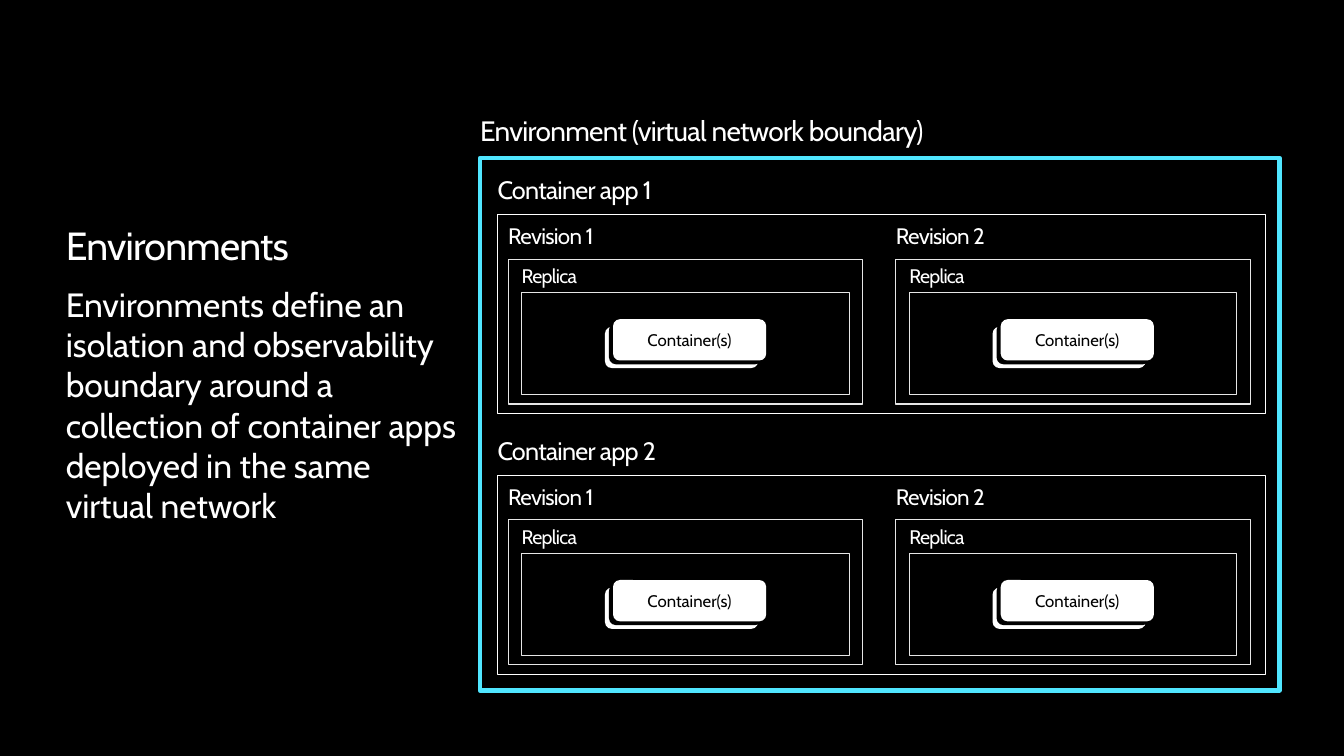
from pptx import Presentation
from pptx.dml.color import RGBColor
from pptx.enum.shapes import MSO_SHAPE
from pptx.enum.text import MSO_ANCHOR, MSO_AUTO_SIZE, PP_ALIGN
from pptx.util import Pt

RECT = MSO_SHAPE.RECTANGLE
ROUND = MSO_SHAPE.ROUNDED_RECTANGLE
MIDDLE = MSO_ANCHOR.MIDDLE
GROW = MSO_AUTO_SIZE.SHAPE_TO_FIT_TEXT
CENTER = PP_ALIGN.CENTER

FONT = "Cabin"
COLORS = {
    "black": "000000",
    "white": "FFFFFF",
    "gray": "E6E6E6",
    "cyan": "50E6FF",
}
APP_STEP = 186.3
REV_STEP = 276.9
BODY = (
    "Environments define an isolation and observability boundary around "
    "a collection of container apps deployed in the same virtual network"
)


def color(name):
    return RGBColor.from_string(COLORS[name])


def add_run(para, text, size, ink, tight=False):
    run = para.add_run()
    run.text = text
    run.font.name = FONT
    run.font.size = Pt(size)
    run.font.color.rgb = color(ink)
    if tight:
        run._r.get_or_add_rPr().set("spc", "-50")


def add_text(slide, text, x, y, w, h, size, tight=True):
    box = slide.shapes.add_textbox(Pt(x), Pt(y), Pt(w), Pt(h))
    frame = box.text_frame
    frame.word_wrap = True
    frame.auto_size = GROW
    frame.margin_left = frame.margin_right = 0
    frame.margin_top = frame.margin_bottom = 0
    para = frame.paragraphs[0]
    add_run(para, text, size, "white", tight)
    return para


def add_frame(slide, x, y, w, h, ink, weight=0.75):
    box = slide.shapes.add_shape(RECT, Pt(x), Pt(y), Pt(w), Pt(h))
    box.shadow.inherit = False
    box.fill.background()
    box.line.color.rgb = color(ink)
    box.line.width = Pt(weight)


def add_card(slide, x, y, fill):
    card = slide.shapes.add_shape(ROUND, Pt(x), Pt(y), Pt(109.4), Pt(29.5))
    card.shadow.inherit = False
    card.fill.solid()
    card.fill.fore_color.rgb = color(fill)
    card.line.fill.background()
    return card


def add_stack(slide, x, y):
    # Three offset cards, the front one labelled
    for i, fill in enumerate(("white", "black", "white")):
        card = add_card(slide, x + 2.9 * i, y - 2.7 * i, fill)
    frame = card.text_frame
    frame.word_wrap = True
    frame.vertical_anchor = MIDDLE
    frame.margin_left = frame.margin_right = 0
    frame.margin_top = frame.margin_bottom = 0
    para = frame.paragraphs[0]
    para.alignment = CENTER
    add_run(para, "Container(s)", 12, "black")


def add_rev(slide, num, x, y):
    # Revision, its replica and the containers inside
    add_frame(slide, x, y + 26.6, 253.4, 103.5, "gray")
    add_text(slide, f"Revision {num}", x, y, 253.4, 19.4, 16)
    add_frame(slide, x + 9.6, y + 50.6, 234, 72.8, "gray")
    add_text(slide, "Replica", x + 9.6, y + 30.3, 234, 17.3, 14)
    add_stack(slide, x + 69.1, y + 74.9)


def add_app(slide, num, x, y):
    add_text(slide, f"Container app {num}", x, y, 558.7, 21.8, 18)
    add_frame(slide, x, y + 28.4, 548.6, 142.6, "white")
    for i in range(2):
        add_rev(slide, i + 1, x + 7.6 + REV_STEP * i, y + 33.8)


def main():
    prs = Presentation()
    prs.slide_width, prs.slide_height = Pt(960), Pt(540)
    slide = prs.slides.add_slide(prs.slide_layouts[6])
    back = slide.background.fill
    back.solid()
    back.fore_color.rgb = color("black")

    # Heading and description
    title = add_text(slide, "Environments", 47, 160, 332, 31, 28)
    title.line_spacing = Pt(31.4)
    body = add_text(slide, BODY, 47, 202.5, 284.4, 174, 24, tight=False)
    body.space_after = Pt(11.8)

    # Environment with its container apps
    add_frame(slide, 342.8, 112.8, 571.2, 380.4, "cyan", 3)
    for i in range(2):
        add_app(slide, i + 1, 355.4, 124.7 + APP_STEP * i)
    add_text(slide, "Environment (virtual network boundary)",
             343, 80.8, 558.7, 24.5, 20)

    prs.save("out.pptx")


if __name__ == "__main__":
    main()
